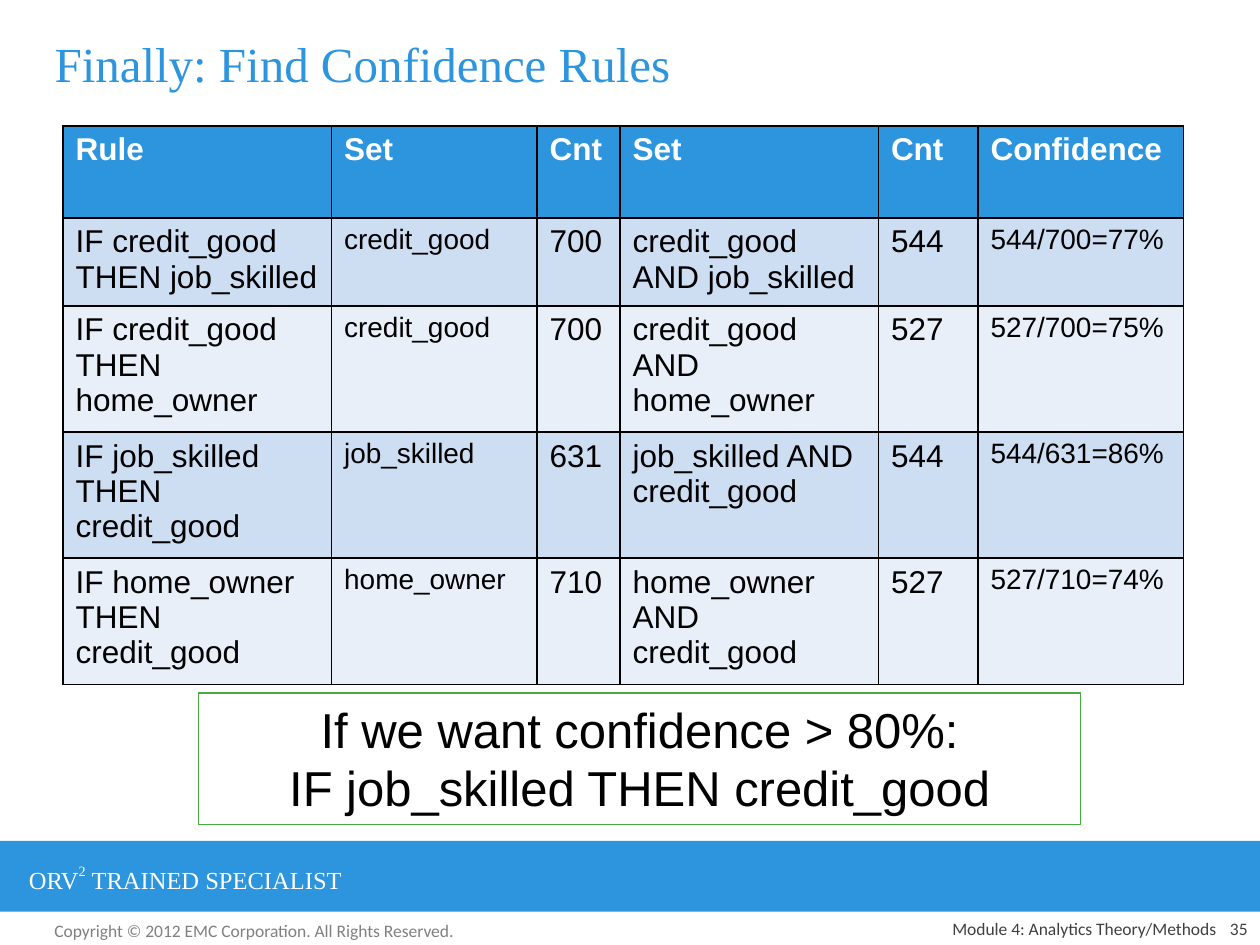
from typing import NamedTuple

from lxml import etree
from pptx import Presentation
from pptx.dml.color import RGBColor
from pptx.enum import shapes as sh, text as tx
from pptx.oxml import ns
from pptx.util import Pt

BLUE = RGBColor(0x2C, 0x95, 0xDD)
GREEN = RGBColor(0x49, 0xA9, 0x42)
BLACK = RGBColor(0, 0, 0)
WHITE = RGBColor(0xFF, 0xFF, 0xFF)
GRAY = RGBColor(0x80, 0x80, 0x80)
DARK = RGBColor(0x40, 0x40, 0x40)
BANDS = (RGBColor(0xCD, 0xDD, 0xF2), RGBColor(0xE8, 0xEF, 0xF9))

HEAD = ("Rule", "Set", "Cnt", "Set", "Cnt", "Confidence")
COLS = (153.5, 117.4, 47.5, 147.6, 56.9, 117.4)
ROWS = (52.5, 47, 67, 67, 67)
SMALL = (1, 5)  # columns set in 16 pt


class Rule(NamedTuple):
    cause: str
    effect: str
    count: int
    both: int

    def cells(self) -> tuple:
        share = f"{self.both}/{self.count}={self.both / self.count:.0%}"
        # The last digit is cut off, not rounded
        share = share.split("=")[0] + f"={100 * self.both // self.count}%"
        return (f"IF {self.cause} THEN {self.effect}", self.cause, str(self.count),
                f"{self.cause} AND {self.effect}", str(self.both), share)


class Label(NamedTuple):
    box: tuple
    text: str
    size: float
    face: str
    color: RGBColor
    align: tx.PP_ALIGN = tx.PP_ALIGN.LEFT
    anchor: tx.MSO_ANCHOR = tx.MSO_ANCHOR.TOP


RULES = (
    Rule("credit_good", "job_skilled", 700, 544),
    Rule("credit_good", "home_owner", 700, 527),
    Rule("job_skilled", "credit_good", 631, 544),
    Rule("home_owner", "credit_good", 710, 527),
)
RIGHT, LOW = tx.PP_ALIGN.RIGHT, tx.MSO_ANCHOR.BOTTOM
NOTES = (
    Label((24, 522, 246, 19.4), "Copyright © 2012 EMC Corporation. All Rights Reserved.",
          10, "Calibri", GRAY),
    Label((684, 522, 36, 18), "35", 10, "Calibri", DARK, RIGHT, LOW),
    Label((372, 522, 330, 18), "Module 4: Analytics Theory/Methods",
          10, "Calibri", DARK, RIGHT, LOW),
)


def style(font, color: RGBColor, **form) -> None:
    for key, val in form.items():
        setattr(font, key, val)
    font.color.rgb = color


def place(shape, box: tuple) -> None:
    for key, val in zip(("left", "top", "width", "height"), box):
        setattr(shape, key, Pt(val))


def write(shape, label: Label) -> None:
    frame = shape.text_frame
    frame.word_wrap = True
    frame.vertical_anchor = label.anchor
    frame.text = label.text
    for par in frame.paragraphs:
        par.alignment = label.align
        for run in par.runs:
            style(run.font, label.color, size=Pt(label.size), name=label.face)


def add_label(slide, label: Label):
    box = slide.shapes.add_textbox(*map(Pt, label.box))
    write(box, label)
    return box


def add_rect(slide, box: tuple):
    rect = slide.shapes.add_shape(sh.MSO_SHAPE.RECTANGLE, *map(Pt, box))
    rect.shadow.inherit = False
    return rect


def edge(cell) -> None:
    props = cell._tc.get_or_add_tcPr()
    for side in "LRTB":
        line = etree.SubElement(props, ns.qn(f"a:ln{side}"), w=str(Pt(1)))
        fill = etree.SubElement(line, ns.qn("a:solidFill"))
        etree.SubElement(fill, ns.qn("a:srgbClr"), val=str(BLACK))


def add_grid(slide) -> None:
    grid = slide.shapes.add_table(len(ROWS), len(COLS), Pt(36), Pt(72),
                                  Pt(sum(COLS)), Pt(sum(ROWS))).table
    for col, width in zip(grid.columns, COLS):
        col.width = Pt(width)
    for row, high in zip(grid.rows, ROWS):
        row.height = Pt(high)
    for r, words in enumerate((HEAD, *(rule.cells() for rule in RULES))):
        top = r == 0
        for c, word in enumerate(words):
            cell = grid.cell(r, c)
            edge(cell)
            cell.fill.solid()
            cell.fill.fore_color.rgb = BLUE if top else BANDS[(r - 1) % 2]
            cell.text = word
            style(cell.text_frame.paragraphs[0].runs[0].font, WHITE if top else BLACK,
                  size=Pt(16 if c in SMALL and not top else 18), name="Arial", bold=top)


def main() -> None:
    deck = Presentation()
    deck.slide_width, deck.slide_height = Pt(720), Pt(540)
    slide = deck.slides.add_slide(deck.slide_layouts[5])

    # Title
    title = Label((24, 6, 666, 60), "Finally: Find Confidence Rules", 28,
                  "Times New Roman", BLUE, anchor=tx.MSO_ANCHOR.MIDDLE)
    place(slide.shapes.title, title.box)
    write(slide.shapes.title, title)

    # Footer band with a raised figure in its name
    band = add_rect(slide, (0, 480.5, 720, 40.5))
    band.fill.solid()
    band.fill.fore_color.rgb = BLUE
    band.line.fill.background()
    name = add_label(slide, Label((9.4, 489, 266, 24.2), "ORV", 14,
                                  "Times New Roman", WHITE))
    par = name.text_frame.paragraphs[0]
    for part in ("2", " TRAINED SPECIALIST"):
        run = par.add_run()
        run.text = part
        style(run.font, WHITE, size=Pt(14), name="Times New Roman")
    par.runs[1].font._element.set("baseline", "56000")

    # Rules and their confidence
    add_grid(slide)

    # Conclusion
    goal = Label((113.5, 396, 504, 75),
                 "If we want confidence > 80%:\nIF job_skilled THEN credit_good",
                 28, "Arial", BLACK, tx.PP_ALIGN.CENTER)
    rect = add_rect(slide, goal.box)
    rect.fill.background()
    rect.line.color.rgb = GREEN
    rect.line.width = Pt(0.75)
    write(rect, goal)

    # Footer notes
    for note in NOTES:
        add_label(slide, note)

    deck.save("out.pptx")


if __name__ == "__main__":
    main()
